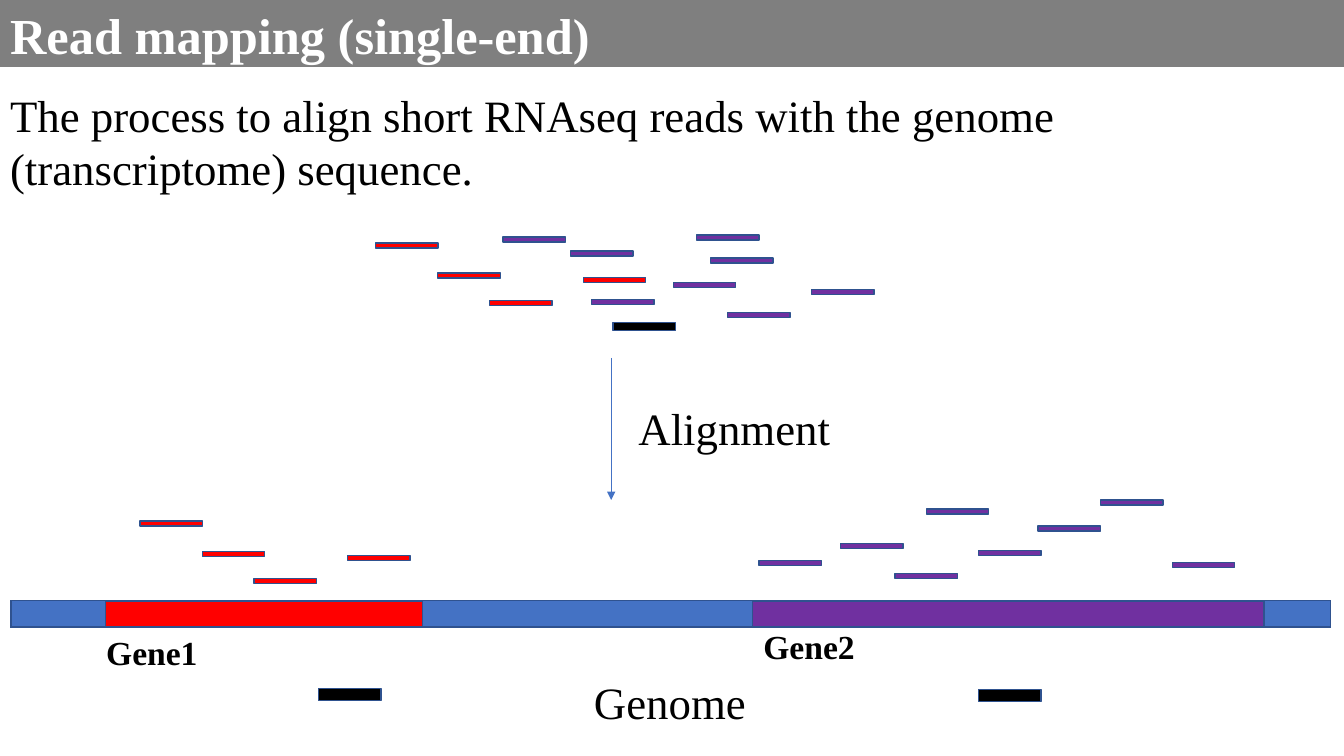
from lxml.etree import SubElement
from pptx import Presentation
from pptx.dml.color import RGBColor
from pptx.enum.shapes import MSO_CONNECTOR, MSO_SHAPE
from pptx.enum.text import MSO_ANCHOR, PP_ALIGN
from pptx.oxml.ns import qn
from pptx.util import Inches, Pt

COLUMNS, ROWS = 40, 30
BLACK, WHITE, RED, PURPLE = "000000", "FFFFFF", "FF0000", "7030A0"
BLUE, OUTLINE = "4472C4", "2F528F"

READ_WIDTH, READ_HEIGHT = 1.86, 0.2
# Offsets of reads that keep their arrangement when they are aligned
GENE1_READS = [(0, 0), (1.85, 1.2), (3.39, 2.28), (6.18, 1.36)]
GENE2_READS = [(0, 0), (1.62, 1.2), (4.11, 0.28)]
READ_GROUPS = [
    # colour, offsets, origins
    (RED, GENE1_READS, [(11.18, 9.64), (4.17, 20.68)]),
    (PURPLE, GENE2_READS, [(20.04, 11.2), (25.02, 21.56)]),
    (PURPLE, [(0, 0)], [
        (17.61, 11.88), (14.97, 9.4), (16.98, 9.96), (21.15, 10.24), (20.73, 9.32),
        (22.59, 22.24), (34.89, 22.32), (27.57, 20.2), (30.9, 20.88), (32.76, 19.84)]),
]
UNMAPPED_READS = [(18.24, 12.8, 0.32), (29.13, 27.36, 0.48), (9.48, 27.32, 0.48)]
GENOME_SEGMENTS = [(2.8, BLUE), (9.45, RED), (9.82, BLUE), (15.22, PURPLE), (1.98, BLUE)]
LABELS = [
    # text, left, top, width, height, size, bold
    ("Alignment", 19, 15.84, 5.8, 2.24, 32, False),
    ("Genome", 17.68, 26.68, 4.6, 2.24, 32, False),
    ("Gene1", 3.16, 25, 2.8, 1.72, 24, True),
    ("Gene2", 22.72, 24.76, 2.8, 1.72, 24, True),
]


def colour(code):
    return RGBColor.from_string(code)


class Page:
    """A slide on a grid of 40 columns and 30 rows, with one text and line style."""

    font = "Times New Roman"

    def __init__(self, deck):
        self.slide = deck.slides.add_slide(deck.slide_layouts[5])
        self.shapes = self.slide.shapes
        self.column = deck.slide_width / COLUMNS
        self.row = deck.slide_height / ROWS

    def across(self, columns):
        return round(columns * self.column)

    def down(self, rows):
        return round(rows * self.row)

    def area(self, left, top, width, height):
        return self.across(left), self.down(top), self.across(width), self.down(height)

    def set_text(self, box, text, size, code, bold, inset, anchor=MSO_ANCHOR.TOP):
        frame = box.text_frame
        frame.word_wrap = True
        frame.vertical_anchor = anchor
        frame.margin_left = frame.margin_right = frame.margin_bottom = 0
        frame.margin_top = Inches(inset)
        frame.text = text
        para = frame.paragraphs[0]
        para.alignment = PP_ALIGN.LEFT
        para.font.name, para.font.size, para.font.bold = self.font, Pt(size), bold
        para.font.color.rgb = colour(code)
        return para

    def title(self, text, left, top, width, height):
        box = self.shapes.title
        box.left, box.top, box.width, box.height = self.area(left, top, width, height)
        self.set_text(box, text, 36, WHITE, True, 0.02, MSO_ANCHOR.MIDDLE)

    def label(self, text, left, top, width, height, size, bold=False, inset=0.02):
        box = self.shapes.add_textbox(*self.area(left, top, width, height))
        return self.set_text(box, text, size, BLACK, bold, inset)

    def bar(self, left, top, width, height, code, outline=OUTLINE):
        bar = self.shapes.add_shape(MSO_SHAPE.RECTANGLE, *self.area(left, top, width, height))
        bar.shadow.inherit = False
        bar.fill.solid()
        bar.fill.fore_color.rgb = colour(code)
        if outline:
            bar.line.color.rgb = colour(outline)
            bar.line.width = Pt(1)
        else:
            bar.line.fill.background()
        return bar

    def banner(self, height):
        """Half-transparent band behind the title."""
        band = self.bar(0, 0, COLUMNS, height, BLACK, None)
        fill = band._element.spPr.find(qn("a:solidFill"))
        SubElement(fill[0], qn("a:alpha"), val="50000")
        self.shapes._spTree.insert(2, band._element)

    def arrow(self, left, top, bottom):
        line = self.shapes.add_connector(
            MSO_CONNECTOR.STRAIGHT,
            self.across(left), self.down(top), self.across(left), self.down(bottom))
        line.line.color.rgb = colour(BLUE)
        line.line.width = Pt(0.5)
        SubElement(line.line._get_or_add_ln(), qn("a:tailEnd"), type="triangle")
        SubElement(line._element.spPr, qn("a:effectLst"))

    def strip(self, left, top, height, segments):
        """One-row table whose cells are coloured segments."""
        width = sum(span for span, _ in segments)
        table = self.shapes.add_table(
            1, len(segments), *self.area(left, top, width, height)).table
        table.first_row = table.horz_banding = False
        for index, (span, code) in enumerate(segments):
            table.columns[index].width = self.across(span)
            self.segment(table.cell(0, index), code)

    def segment(self, cell, code):
        cell.margin_left = cell.margin_right = cell.margin_top = cell.margin_bottom = 0
        SubElement(cell.text_frame.paragraphs[0]._p, qn("a:endParaRPr"), sz="800")
        properties = cell._tc.get_or_add_tcPr()
        for side in ("lnL", "lnR", "lnT", "lnB"):
            width = 1.5 if side == "lnT" and code != BLUE else 1
            edge = SubElement(properties, qn(f"a:{side}"), w=str(Pt(width)))
            SubElement(SubElement(edge, qn("a:solidFill")), qn("a:srgbClr"), val=OUTLINE)
        cell.fill.solid()
        cell.fill.fore_color.rgb = colour(code)


def main():
    deck = Presentation()
    deck.slide_width, deck.slide_height = Inches(13.33), Inches(7.5)
    page = Page(deck)
    page.banner(2.66)
    page.title("Read mapping (single-end)", 0.3, 0.04, 32.56, 2.56)
    summary = page.label(
        "The process to align short RNAseq reads with the genome (transcriptome) sequence.",
        0.3, 3.28, 31.18, 4.36, 32, inset=0.06)
    summary.line_spacing = Pt(37.9)

    page.strip(0.33, 23.84, 1.04, GENOME_SEGMENTS)
    for label in LABELS:
        page.label(*label)
    for code, offsets, origins in READ_GROUPS:
        for left, top in origins:
            for right, below in offsets:
                page.bar(left + right, top + below, READ_WIDTH, READ_HEIGHT, code)
    for left, top, height in UNMAPPED_READS:
        page.bar(left, top, READ_WIDTH, height, BLACK)
    page.arrow(18.19, 14.2, 19.84)
    deck.save("out.pptx")


if __name__ == "__main__":
    main()
